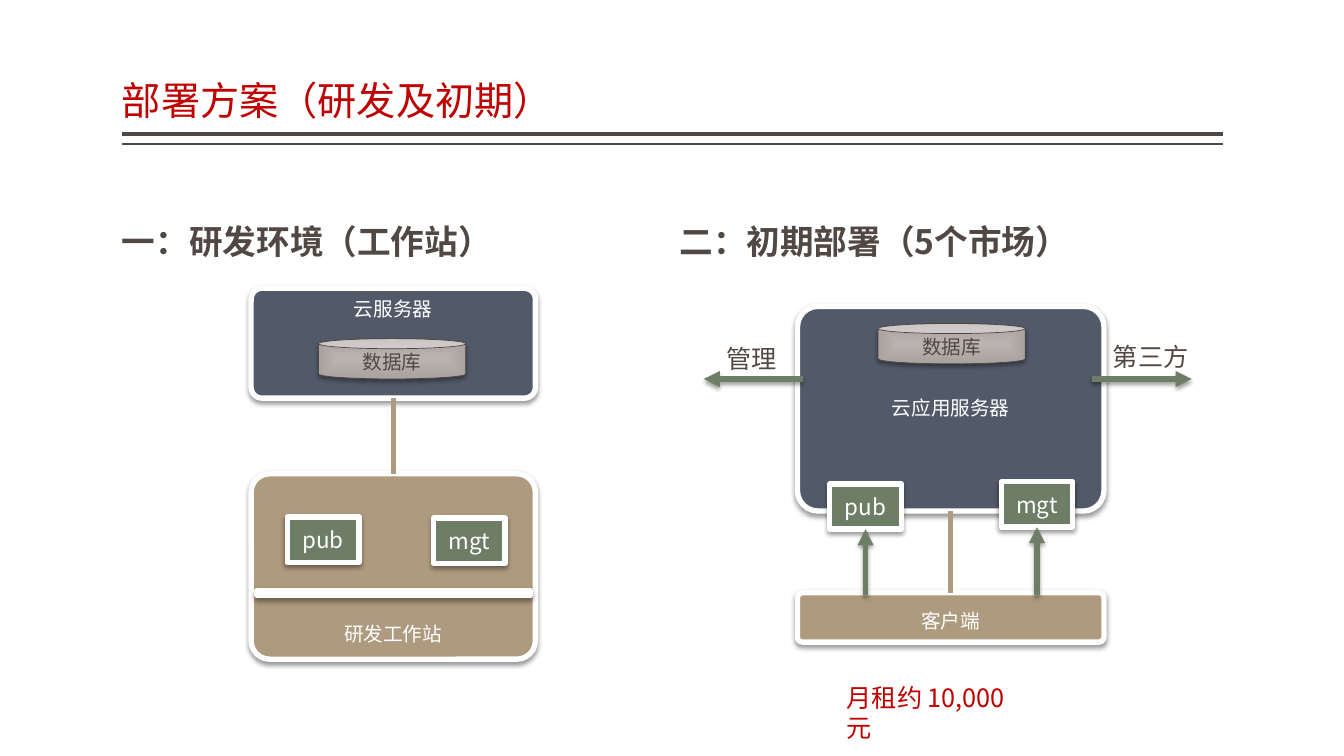
from lxml.etree import SubElement
from pptx import Presentation
from pptx.dml.color import RGBColor
from pptx.enum.shapes import MSO_CONNECTOR, MSO_SHAPE as Shape
from pptx.enum.text import MSO_ANCHOR as Anchor, MSO_AUTO_SIZE, PP_ALIGN as Align
from pptx.oxml import parse_xml
from pptx.oxml.ns import nsdecls, qn
from pptx.util import Inches, Pt

FONT = "Noto Sans CJK SC"
TITLE_RED = RGBColor(0xBF, 0x01, 0x02)
PRICE_RED = RGBColor(0xC0, 0x00, 0x00)
BROWN = RGBColor(0x51, 0x48, 0x43)
CAN_EDGE = RGBColor(0x50, 0x46, 0x41)
SLATE = RGBColor(0x52, 0x5A, 0x6A)
SAND = RGBColor(0xAE, 0x9A, 0x7E)
GREEN = RGBColor(0x6D, 0x7D, 0x66)
WHITE = RGBColor(0xFF, 0xFF, 0xFF)
CAN_LIGHT, CAN_DARK = "B9B4B1", "A9A29E"


def write(frame, text, size=14, color=WHITE, bold=False, align=Align.CENTER,
          anchor=Anchor.MIDDLE, margins=(0.1, 0.05, 0.1, 0.05), spacing=1.0, wrap=True):
    """Fill a text frame with one formatted paragraph."""
    frame.auto_size = MSO_AUTO_SIZE.NONE
    frame.word_wrap = wrap
    frame.vertical_anchor = anchor
    (frame.margin_left, frame.margin_top,
     frame.margin_right, frame.margin_bottom) = map(Inches, margins)
    paragraph = frame.paragraphs[0]
    paragraph.alignment = align
    paragraph.line_spacing = spacing
    paragraph.space_before = Pt(0)
    run = paragraph.add_run()
    run.text = text
    font = run.font
    font.size, font.bold, font.name = Pt(size), bold, FONT
    font.color.rgb = color
    SubElement(font._element, qn("a:ea"), typeface=FONT)


def set_effect(shape, blur=None):
    """Give a soft shadow below, or no shadow when blur is None."""
    shadow = "" if blur is None else (
        f'<a:outerShdw blurRad="{Pt(blur)}" dist="{Pt(2)}" dir="5400000" rotWithShape="0">'
        '<a:srgbClr val="000000"><a:alpha val="38000"/></a:srgbClr></a:outerShdw>')
    effects = parse_xml(f'<a:effectLst {nsdecls("a")}>{shadow}</a:effectLst>')
    shape._element.spPr.append(effects)


class DeploymentSlide:
    def __init__(self, deck):
        self.slide = deck.slides.add_slide(deck.slide_layouts[4])
        self.shapes = self.slide.shapes

    def heading(self, idx, text, box, **style):
        holder = self.slide.placeholders[idx]
        holder.left, holder.top, holder.width, holder.height = map(Inches, box)
        write(holder.text_frame, text, align=Align.LEFT, anchor=Anchor.BOTTOM,
              margins=(0, 0.05, 0, 0.05), spacing=0.9, **style)

    def drop_unused(self):
        for holder in list(self.slide.placeholders):
            if not holder.text_frame.text:
                holder._element.getparent().remove(holder._element)

    def block(self, kind, box, fill, edge=WHITE, edge_width=3.82):
        shape = self.shapes.add_shape(kind, *map(Inches, box))
        shape.shadow.inherit = False
        shape._element.spPr.remove(shape._element.spPr.find(qn("a:effectLst")))
        shape.fill.solid()
        shape.fill.fore_color.rgb = fill
        shape.line.color.rgb = edge
        shape.line.width = Pt(edge_width)
        set_effect(shape, 3.5)
        return shape

    def host(self, text, box, fill, anchor):
        shape = self.block(Shape.ROUNDED_RECTANGLE, box, fill)
        shape.adjustments[0] = 0.1
        write(shape.text_frame, text, anchor=anchor, margins=(0.08,) * 4, spacing=0.9)
        return shape

    def module(self, text, left, top):
        shape = self.block(Shape.RECTANGLE, (left, top, 0.71, 0.45), GREEN)
        write(shape.text_frame, text, size=16)
        return shape

    def database(self, left, top):
        can = self.block(Shape.CAN, (left, top, 1.46, 0.4), WHITE, CAN_EDGE, 0.5)
        gradient = parse_xml(
            f'<a:gradFill {nsdecls("a")} rotWithShape="1"><a:gsLst>'
            f'<a:gs pos="0"><a:srgbClr val="{CAN_LIGHT}"/></a:gs>'
            f'<a:gs pos="100000"><a:srgbClr val="{CAN_DARK}"/></a:gs></a:gsLst>'
            '<a:path path="rect"><a:fillToRect l="50000" t="50000" r="50000" b="50000"/>'
            '</a:path></a:gradFill>')
        properties = can._element.spPr
        properties.replace(properties.find(qn("a:solidFill")), gradient)
        write(can.text_frame, "数据库", color=BROWN)

    def line(self, start, end, color, width, arrow=False):
        connector = self.shapes.add_connector(
            MSO_CONNECTOR.STRAIGHT, *map(Inches, (*start, *end)))
        connector.line.color.rgb = color
        connector.line.width = Pt(width)
        if arrow:
            SubElement(connector.line._get_or_add_ln(), qn("a:tailEnd"), type="triangle")
        set_effect(connector, 3.1 if arrow else None)
        return connector

    def link(self, upper, lower):
        connector = self.line((0, 0), (1, 1), SAND, 3.78)
        connector.begin_connect(upper, 2)
        connector.end_connect(lower, 0)

    def arrow(self, start, end):
        return self.line(start, end, GREEN, 3.82, arrow=True)

    def label(self, text, box, color=BROWN, **style):
        frame = self.shapes.add_textbox(*map(Inches, box)).text_frame
        write(frame, text, size=18, color=color, align=Align.LEFT,
              anchor=Anchor.TOP, **style)


def main():
    deck = Presentation()
    deck.slide_width, deck.slide_height = Inches(13.33), Inches(7.5)
    page = DeploymentSlide(deck)

    # Title, double rule and column headings
    page.heading(0, "部署方案（研发及初期）", (1.21, 0.08, 10.92, 1.2), size=28, color=TITLE_RED)
    for y, width in ((1.33, 3), (1.43, 1)):
        page.line((12.13, y), (1.21, y), BROWN, width)
    headings = ((1, "一：研发环境（工作站）", 1.21), (3, "二：初期部署（5个市场）", 6.74))
    for idx, text, left in headings:
        page.heading(idx, text, (left, 1.75, 5.38, 0.9), size=24, color=BROWN, bold=True)
    page.drop_unused()

    # Early deployment: application server and client
    app_server = page.host("云应用服务器", (7.91, 3.04, 3.04, 2.03), SLATE, Anchor.MIDDLE)
    client = page.host("客户端", (7.91, 5.88, 3.04, 0.49), SAND, Anchor.BOTTOM)
    page.link(app_server, client)
    page.database(8.71, 3.21)
    for text, left, top in (("pub", 8.23, 4.8), ("mgt", 9.93, 4.78)):
        module = page.module(text, left, top)
        page.arrow((left + 0.355, 5.9), (left + 0.355, top + 0.45)).end_connect(module, 2)

    # Outside access and monthly cost
    page.arrow((10.83, 3.76), (11.82, 3.76))
    page.arrow((7.96, 3.76), (6.98, 3.76))
    page.label("管理", (7.11, 3.36, 0.71, 0.4), wrap=False)
    page.label("第三方", (10.94, 3.34, 0.96, 0.4), wrap=False)
    page.label("月租约 10,000元", (8.3, 6.72, 2.14, 0.4), PRICE_RED,
               margins=(0.1, 0.05, 0.3, 0.05))

    # Development environment: cloud server and workstation
    cloud_server = page.host("云服务器", (2.49, 2.86, 2.82, 1.09), SLATE, Anchor.TOP)
    workstation = page.host("研发工作站", (2.49, 4.7, 2.82, 1.84), SAND, Anchor.BOTTOM)
    page.link(cloud_server, workstation)
    page.module("pub", 2.85, 5.13)
    page.module("mgt", 4.3, 5.14)
    page.database(3.16, 3.36)
    page.block(Shape.RECTANGLE, (2.55, 5.86, 2.71, 0.05), SAND)

    deck.save("out.pptx")


if __name__ == "__main__":
    main()
